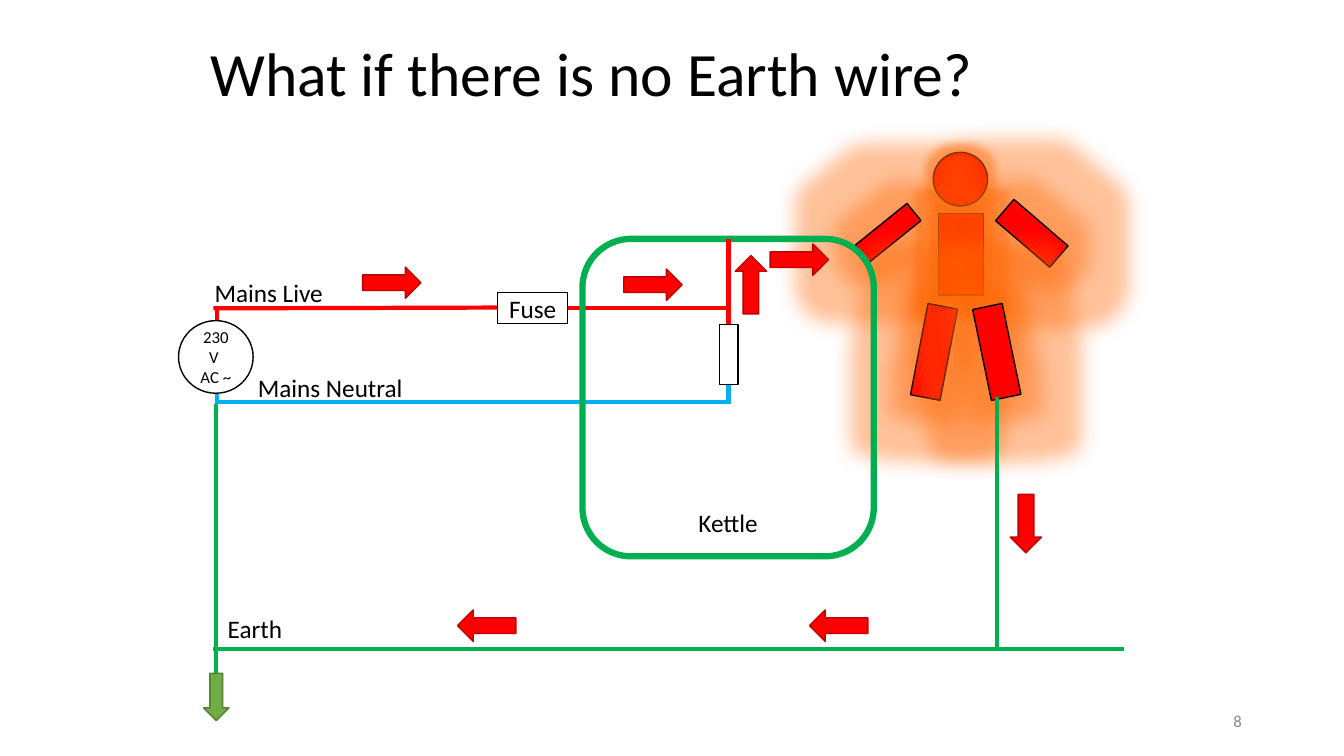
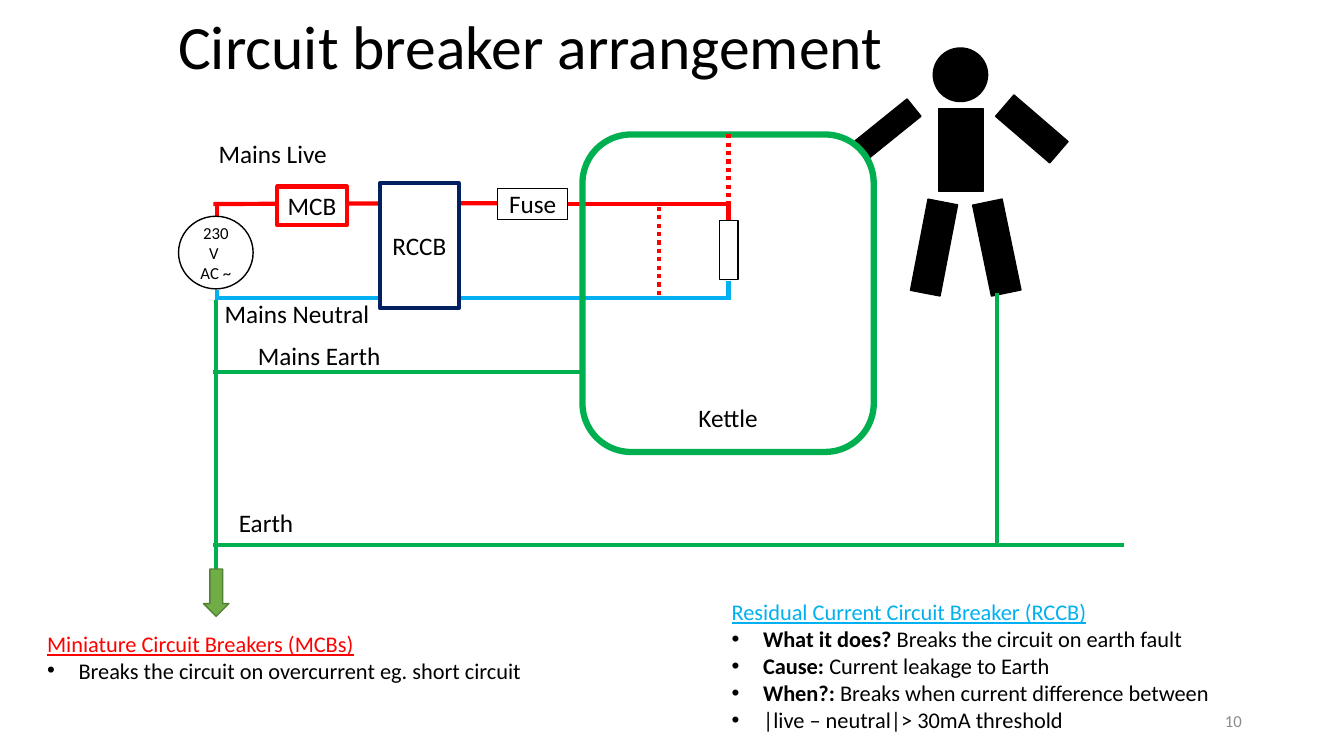
from lxml import etree
from pptx import Presentation
from pptx.dml.color import RGBColor
from pptx.enum.dml import MSO_LINE
from pptx.enum.shapes import MSO_CONNECTOR, MSO_SHAPE
from pptx.enum.text import MSO_ANCHOR, PP_ALIGN
from pptx.oxml.ns import qn
from pptx.util import Cm, Pt

RECTANGLE = MSO_SHAPE.RECTANGLE
ROUNDED = MSO_SHAPE.ROUNDED_RECTANGLE
ELLIPSE = MSO_SHAPE.OVAL
RIGHT_ARROW = MSO_SHAPE.RIGHT_ARROW
DOWN_ARROW = MSO_SHAPE.DOWN_ARROW
STRAIGHT = MSO_CONNECTOR.STRAIGHT
DOTTED = MSO_LINE.ROUND_DOT
TOP, MIDDLE, BOTTOM = MSO_ANCHOR.TOP, MSO_ANCHOR.MIDDLE, MSO_ANCHOR.BOTTOM
LEFT, CENTER, RIGHT = PP_ALIGN.LEFT, PP_ALIGN.CENTER, PP_ALIGN.RIGHT


class Theme:
    font = "Calibri"
    black = "000000"
    white = "FFFFFF"
    live = "FF0000"
    live_edge = "C00000"
    neutral = "00B0F0"
    earth = "00B050"
    ground = "70AD47"
    ground_edge = "538035"
    breaker = "002060"
    glow = "FF6600"
    page_number = "8C8C8C"
    title_size = 44
    label_size = 18
    note_size = 16
    small_size = 12
    wire = 3
    casing = 4.5
    outline = 1
    thin = 0.75


def draw_shape(slide, preset, box, text="", fill=None, line=None, width=Theme.outline,
               size=Theme.label_size, color=Theme.black, align=CENTER, anchor=MIDDLE,
               wrap=False, rotation=0):
    lengths = [Cm(value) for value in box]
    if preset is None:
        shape = slide.shapes.add_textbox(*lengths)
    else:
        shape = slide.shapes.add_shape(preset, *lengths)
        shape.shadow.inherit = False
        shape.rotation = rotation
        if fill:
            shape.fill.solid()
            shape.fill.fore_color.rgb = RGBColor.from_string(fill)
        else:
            shape.fill.background()
        shape.line.color.rgb = RGBColor.from_string(line)
        shape.line.width = Pt(width)
    if text:
        text_frame = shape.text_frame
        text_frame.text = text
        text_frame.word_wrap = wrap
        text_frame.vertical_anchor = anchor
        for paragraph in text_frame.paragraphs:
            paragraph.alignment = align
            for run in paragraph.runs:
                run.font.name = Theme.font
                run.font.size = Pt(size)
                run.font.color.rgb = RGBColor.from_string(color)
    return shape


def draw_line(slide, points, color, dash=None):
    line = slide.shapes.add_connector(STRAIGHT, *[Cm(value) for value in points])
    line.line.color.rgb = RGBColor.from_string(color)
    line.line.width = Pt(Theme.wire)
    if dash:
        line.line.dash_style = dash
    etree.SubElement(line._element.spPr, qn("a:effectLst"))


pages = [
    {
        "title": "What if there is no Earth wire?", "title_at": (5.05, 0.71),
        "number": "8", "shift": 0, "person": Theme.live, "glow": True,
        "labels": [("Mains Live", 5.16, 6.86, 3.28), ("Mains Neutral", 6.25, 9.25, 4.19),
                   ("Earth", 5.49, 15.32, 1.91)],
    },
    {
        "title": "Circuit breaker arrangement", "title_at": (4.24, 0.03),
        "number": "10", "shift": -2.63, "person": Theme.black, "glow": False,
        "labels": [("Mains Live", 5.26, 3.35, 3.28), ("Mains Neutral", 5.41, 7.39, 4.19),
                   ("Earth", 5.77, 12.67, 1.91), ("Mains Earth", 6.25, 8.46, 3.63)],
    },
]

wires = [
    ((5.44, 10.13, 18.42, 10.13), Theme.neutral),
    ((18.36, 9.7, 18.36, 10.13), Theme.neutral),
    ((5.46, 9.93, 5.46, 10.19), Theme.neutral),
    ((5.38, 7.77, 12.55, 7.75), Theme.live),
    ((14.3, 7.77, 18.36, 7.77), Theme.live),
    ((18.36, 7.75, 18.36, 8.18), Theme.live),
    ((5.46, 7.8, 5.46, 8.08), Theme.live),
    ((5.38, 16.36, 28.32, 16.36), Theme.earth),
    ((5.44, 16.97, 5.44, 10.19), Theme.earth),
]

body_parts = [
    (RECTANGLE, (23.65, 5.38, 1.14, 2.06), 0, 11),
    (ELLIPSE, (23.52, 3.84, 1.37, 1.35), 0, 11),
    (RECTANGLE, (22.1, 5.03, 0.56, 1.68), 51.1, 29),
    (RECTANGLE, (25.65, 4.98, 0.71, 1.8), 310.7, 29),
    (RECTANGLE, (23.16, 7.7, 0.76, 2.34), 10.9, 29),
    (RECTANGLE, (24.74, 7.7, 0.76, 2.34), 348.3, 29),
]

circuit_parts = [
    (ROUNDED, (14.68, 6.02, 7.34, 8), dict(
        text="Kettle", line=Theme.earth, width=Theme.casing, anchor=BOTTOM)),
    (RECTANGLE, (18.14, 8.18, 0.46, 1.5), dict(line=Theme.black, width=Theme.thin)),
    (RECTANGLE, (12.55, 7.37, 1.75, 0.79), dict(
        text="Fuse", line=Theme.black, width=Theme.thin)),
    (ELLIPSE, (4.5, 8.08, 1.88, 1.83), dict(
        text="230V \nAC ~", fill=Theme.white, line=Theme.black,
        size=Theme.small_size, wrap=True)),
    (DOWN_ARROW, (5.13, 16.97, 0.64, 1.19), dict(
        fill=Theme.ground, line=Theme.ground_edge)),
]

presentation = Presentation()
presentation.slide_width = Cm(33.87)
presentation.slide_height = Cm(19.05)
slides = []

for page in pages:
    slide = presentation.slides.add_slide(presentation.slide_layouts[6])
    slides.append(slide)
    shift = page["shift"]
    title = draw_shape(slide, None, (*page["title_at"], 24.46, 2.44), page["title"],
                       size=Theme.title_size, align=LEFT, wrap=True)
    title.text_frame.paragraphs[0].line_spacing = 0.9
    draw_shape(slide, None, (23.93, 17.65, 7.62, 1.02), page["number"],
               size=Theme.small_size, color=Theme.page_number, align=RIGHT, wrap=True)
    for (x1, y1, x2, y2), color in wires:
        draw_line(slide, (x1, y1 + shift, x2, y2 + shift), color)
    for preset, (left, top, width, height), rotation, radius in body_parts:
        part = draw_shape(slide, preset, (left, top + shift, width, height),
                          fill=page["person"], line=Theme.black, rotation=rotation)
        if page["glow"]:
            effects = part._element.spPr.find(qn("a:effectLst"))
            glow = etree.SubElement(effects, qn("a:glow"), rad=str(Pt(radius)))
            glow_color = etree.SubElement(glow, qn("a:srgbClr"), val=Theme.glow)
            etree.SubElement(glow_color, qn("a:alpha"), val="40000")
    draw_line(slide, (25.12, 16.36 + shift, 25.12, 10.01 + shift), Theme.earth)
    for preset, (left, top, width, height), style in circuit_parts:
        draw_shape(slide, preset, (left, top + shift, width, height), **style)
    for text, left, top, width in page["labels"]:
        draw_shape(slide, None, (left, top, width, 1.02), text, align=LEFT, anchor=TOP)

fault_slide, breaker_slide = slides

draw_line(fault_slide, (18.36, 6.02, 18.36, 7.8), Theme.live)
current_arrows = [
    (9.14, 6.73, 0), (15.72, 6.78, 0), (18.19, 6.78, 270), (19.41, 6.15, 0),
    (25.12, 12.8, 90), (20.4, 15.37, 180), (11.53, 15.37, 180),
]
for left, top, rotation in current_arrows:
    draw_shape(fault_slide, RIGHT_ARROW, (left, top, 1.47, 0.79), fill=Theme.live,
               line=Theme.live_edge, rotation=rotation)

draw_line(breaker_slide, (5.38, 9.37, 14.68, 9.37), Theme.earth)
for x, top, bottom in [(16.61, 5.21, 7.52), (18.36, 3.38, 5.21)]:
    draw_line(breaker_slide, (x, top, x, bottom), Theme.live, DOTTED)
for text, box, color in [("RCCB", (9.58, 4.62, 1.98, 3.15), Theme.breaker),
                         ("MCB", (6.99, 4.7, 1.75, 0.97), Theme.live)]:
    draw_shape(breaker_slide, RECTANGLE, box, text, fill=Theme.white, line=color,
               width=Theme.wire)

notes = [
    ((0.94, 15.75, 13.5, 1.63), Theme.live, "Miniature Circuit Breakers (MCBs)",
     [("", "Breaks the circuit on overcurrent eg. short circuit")]),
    ((18.19, 14.96, 15.52, 3.68), Theme.neutral, "Residual Current Circuit Breaker (RCCB)",
     [("What it does? ", "Breaks the circuit on earth fault"),
      ("Cause: ", "Current leakage to Earth"),
      ("When?: ", "Breaks when current difference between"),
      ("", "|live – neutral|> 30mA threshold")]),
]
for box, color, heading, points in notes:
    note = draw_shape(breaker_slide, None, box, heading, size=Theme.note_size,
                      color=color, align=LEFT, anchor=TOP, wrap=True)
    note.text_frame.paragraphs[0].runs[0].font.underline = True
    for lead, detail in points:
        paragraph = note.text_frame.add_paragraph()
        properties = paragraph._p.get_or_add_pPr()
        properties.set("marL", str(Cm(0.79)))
        properties.set("indent", str(-Cm(0.79)))
        etree.SubElement(properties, qn("a:buFont"), typeface="Arial")
        etree.SubElement(properties, qn("a:buChar"), char="•")
        for text, bold in [(lead, True), (detail, False)]:
            if text:
                run = paragraph.add_run()
                run.text = text
                run.font.name = Theme.font
                run.font.size = Pt(Theme.note_size)
                run.font.bold = bold
                run.font.color.rgb = RGBColor.from_string(Theme.black)

presentation.save("out.pptx")
